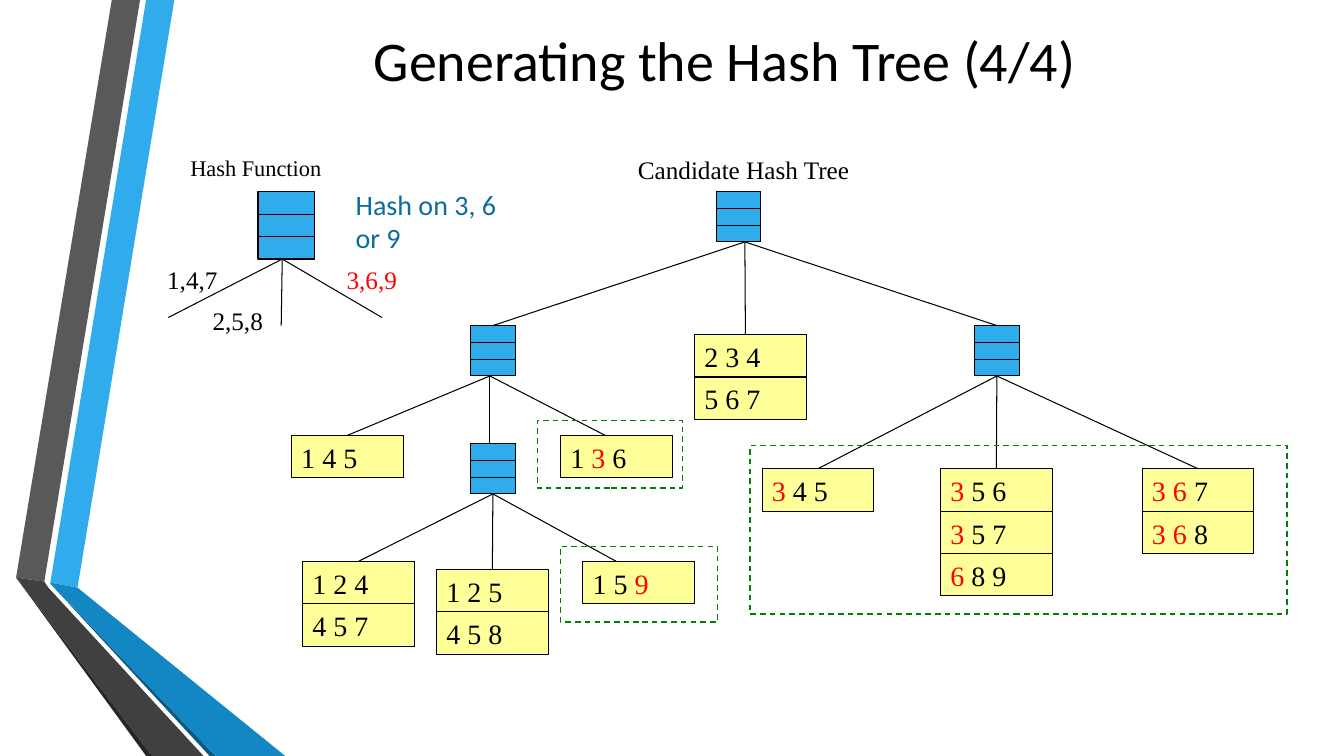
from lxml.etree import SubElement
from pptx import Presentation
from pptx.dml.color import RGBColor
from pptx.enum.dml import MSO_LINE_DASH_STYLE as Dash
from pptx.enum.shapes import MSO_CONNECTOR as Conn, MSO_SHAPE as Shape
from pptx.enum.text import MSO_ANCHOR as Anchor, MSO_AUTO_SIZE as Fit, PP_ALIGN as Align
from pptx.oxml.ns import qn
from pptx.util import Pt

PX = 9144
BLUE, YELLOW, GREEN, RED, BLACK = "30ACEC", "FFFF99", "008000", "FF0000", "000000"
SERIF, SANS = "Times New Roman", "Calibri"
ROW = 42
BANDS = [
    (BLUE, [(50, 578), (77, 583), (173, 0), (145, 0)]),
    ("595959", [(139, 0), (111, 0), (16, 573), (44, 577)]),
    ("262626", [(16, 573), (145, 750), (151, 750)]),
    ("0C5A82", [(50, 579), (208, 750), (214, 750)]),
    ("1287C3", [(50, 578), (50, 579), (214, 750), (283, 750), (77, 583)]),
    ("404040", [(202, 750), (48, 583), (44, 577), (16, 573), (151, 750)]),
]
NODES = {"root": (422, 42), "left": (178, 175), "right": (678, 175), "low": (178, 292)}
LEAVES = {
    "145": (0, 284, ["1 4 5"]),
    "136": (267, 284, ["1 |3| 6"]),
    "234": (400, 184, ["2 3 4", "5 6 7"]),
    "345": (467, 317, ["|3| 4 5"]),
    "356": (644, 317, ["|3| 5 6", "|3| 5 7", "|6| 8 9"]),
    "367": (844, 317, ["|3 6| 7", "|3 6| 8"]),
    "124": (11, 409, ["1 2 4", "4 5 7"]),
    "125": (144, 417, ["1 2 5", "4 5 8"]),
    "159": (289, 409, ["1 5 |9|"]),
}
LINKS = {
    ("root", 6): [("left", 0), ("234", -5), ("right", 0)],
    ("left", -3): [("145", 0), ("low", -3), ("136", -11)],
    ("right", 0): [("345", 0), ("356", 0), ("367", 0)],
    ("low", 0): [("124", 0), ("125", 0), ("159", -22)],
}
MARKS = [(267, 394, 156, 75), (455, 294, 533, 167), (244, 269, 144, 67)]


def style(obj, **values):
    """Set each given attribute on the object."""
    for name, value in values.items():
        setattr(obj, name, value)


def tint(part, color):
    """Give a fill or font the hex colour."""
    if hasattr(part, "solid"):
        part.solid()
    target = part.fore_color if hasattr(part, "fore_color") else part.color
    target.rgb = RGBColor.from_string(color)


def px(*sizes):
    """Turn px into EMU."""
    return [round(size * PX) for size in sizes]


def write(frame, text, size, font=SERIF, color=BLACK, align=Align.LEFT):
    """Write one paragraph, with the parts between bars in red."""
    para = frame.paragraphs[0]
    para.alignment = align
    for i, part in enumerate(text.split("|")):
        if part:
            run = para.add_run()
            run.text = part
            style(run.font, size=Pt(size), name=font)
            tint(run.font, RED if i % 2 else color)


def label(slide, box, text, size=18, wrap=False, **look):
    """Add a text box."""
    frame = slide.shapes.add_textbox(*px(*box)).text_frame
    style(frame, word_wrap=wrap, auto_size=Fit.SHAPE_TO_FIT_TEXT)
    write(frame, text, size, **look)


def rect(slide, box, fill=None, edge=BLACK, width=0.75):
    """Add a rectangle with an outline."""
    shape = slide.shapes.add_shape(Shape.RECTANGLE, *px(*box))
    shape.shadow.inherit = False
    if fill:
        tint(shape.fill, fill)
    else:
        shape.fill.background()
    tint(shape.line.fill, edge)
    shape.line.width = Pt(width)
    return shape


def rule(slide, x1, y1, x2, y2):
    """Add a thin black line."""
    line = slide.shapes.add_connector(Conn.STRAIGHT, *px(x1, y1, x2, y2))
    tint(line.line.fill, BLACK)
    line.line.width = Pt(0.75)
    SubElement(line.element.spPr, qn("a:effectLst"))
    return line


def link(slide, top, low, out, into):
    """Join two boxes, each end shifted from the middle of its side."""
    x1, x2 = [(box.left + box.width / 2) / PX + shift
              for box, shift in ((top, out), (low, into))]
    line = rule(slide, x1, (top.top + top.height) / PX, x2, low.top / PX)
    if not out:
        line.begin_connect(top, 2)
    if not into:
        line.end_connect(low, 0)


def node(slide, x, y, w=44, h=50):
    """Draw a hash node of three cells."""
    shape = rect(slide, (x, y, w, h), BLUE)
    for i in (1, 2):
        rule(slide, x, y + h * i / 3, x + w, y + h * i / 3)
    return shape


def leaf(slide, x, y, rows):
    """Stack the itemsets of a leaf and return its top row."""
    cells = []
    for i, text in enumerate(rows):
        cell = rect(slide, (x, y + i * ROW, 111, ROW), YELLOW)
        style(cell.text_frame, word_wrap=True, vertical_anchor=Anchor.TOP)
        write(cell.text_frame, text, 20)
        cells.append(cell)
    return cells[0]


def bands(slide):
    """Draw the folded ribbons at the left edge."""
    for color, points in BANDS:
        form = slide.shapes.build_freeform(*points[0], scale=PX)
        form.add_line_segments(points[1:], close=True)
        shape = form.convert_to_shape()
        shape.shadow.inherit = False
        tint(shape.fill, color)
        shape.line.fill.background()


def head(slide, box, text):
    """Place and fill the title."""
    title = slide.shapes.title
    style(title, **dict(zip(("left", "top", "width", "height"), px(*box))))
    style(title.text_frame, vertical_anchor=Anchor.MIDDLE, word_wrap=True)
    write(title.text_frame, text, 40, SANS, align=Align.CENTER)


def key(slide, x, y):
    """Draw the hash function with its three branches."""
    node(slide, x + 100, y + 42, 56, 67)
    for dx, dy in ((11, 167), (123, 175), (223, 167)):
        rule(slide, x + 124, y + 109, x + dx, y + dy)
    for dx, dy, text in ((0, 109, "1,4,7"), (45, 150, "2,5,8"), (178, 109, "|3,6,9|")):
        label(slide, (x + dx, y + dy, 71, 40), text)
    label(slide, (x + 23, y, 152, 37), "Hash Function", 16)
    label(slide, (x + 187, y + 33, 167, 77), "Hash on 3, 6 or 9", 20, True,
          font=SANS, color="0C6D9C")


def tree(slide, x, y):
    """Draw the candidate hash tree with its marked leaves."""
    label(slide, (x + 334, y, 232, 40), "Candidate Hash Tree")
    parts = {name: node(slide, x + dx, y + dy) for name, (dx, dy) in NODES.items()}
    for name, (dx, dy, rows) in LEAVES.items():
        parts[name] = leaf(slide, x + dx, y + dy, rows)
    for (top, out), kids in LINKS.items():
        for kid, into in kids:
            link(slide, parts[top], parts[kid], out, into)
    for dx, dy, w, h in MARKS:
        mark = rect(slide, (x + dx, y + dy, w, h), edge=GREEN, width=1)
        mark.line.dash_style = Dash.DASH


def main():
    """Build the slide and save it."""
    deck = Presentation()
    deck.slide_width, deck.slide_height = px(1333.33, 750)
    slide = deck.slides.add_slide(deck.slide_layouts[5])
    bands(slide)
    head(slide, (171, 0, 1096, 117), "Generating the Hash Tree (4/4)")
    tree(slide, 289, 148)
    key(slide, 156, 148)
    deck.save("out.pptx")


if __name__ == "__main__":
    main()
